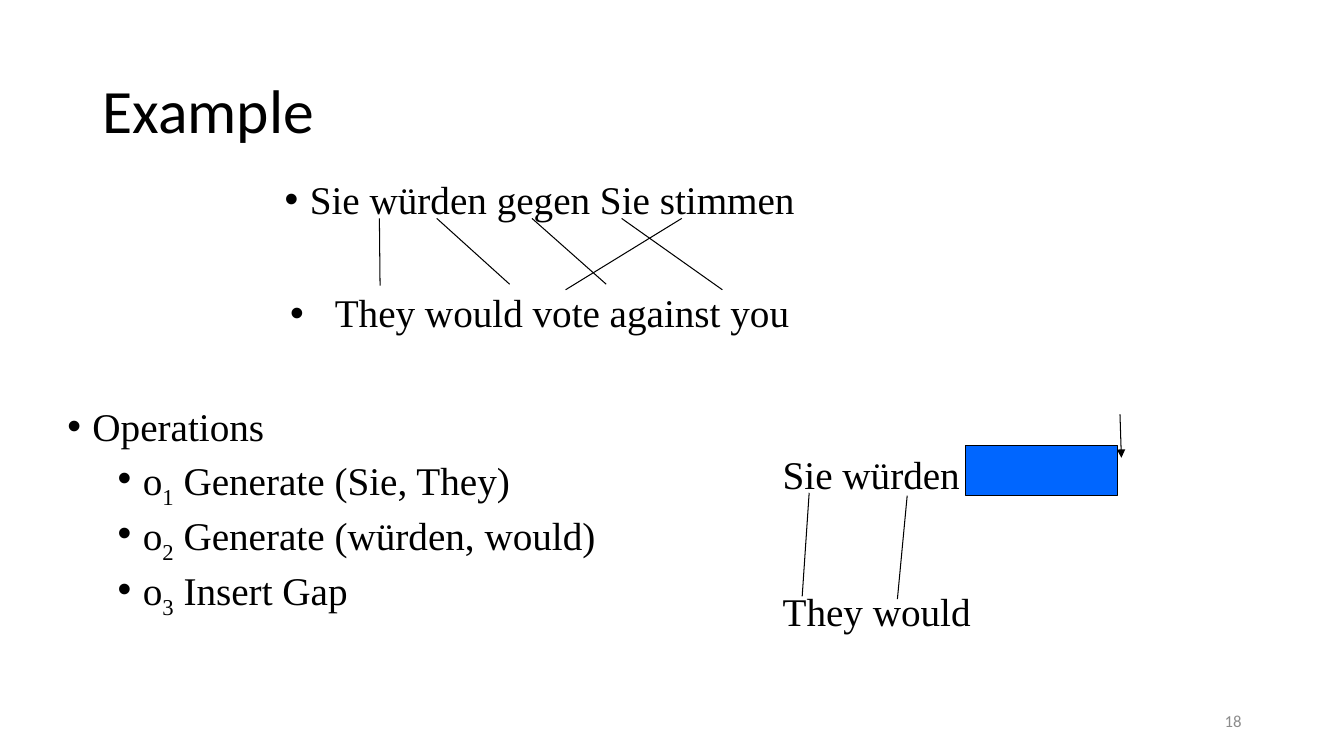
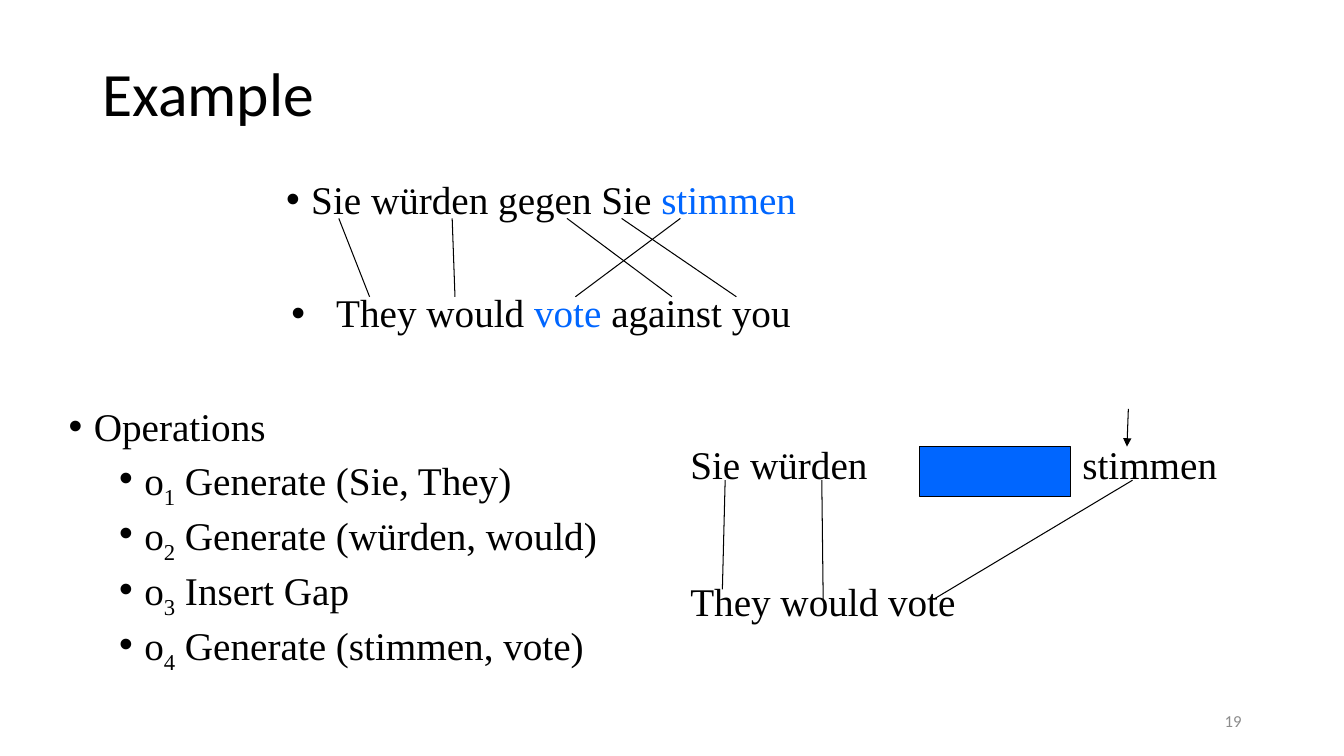
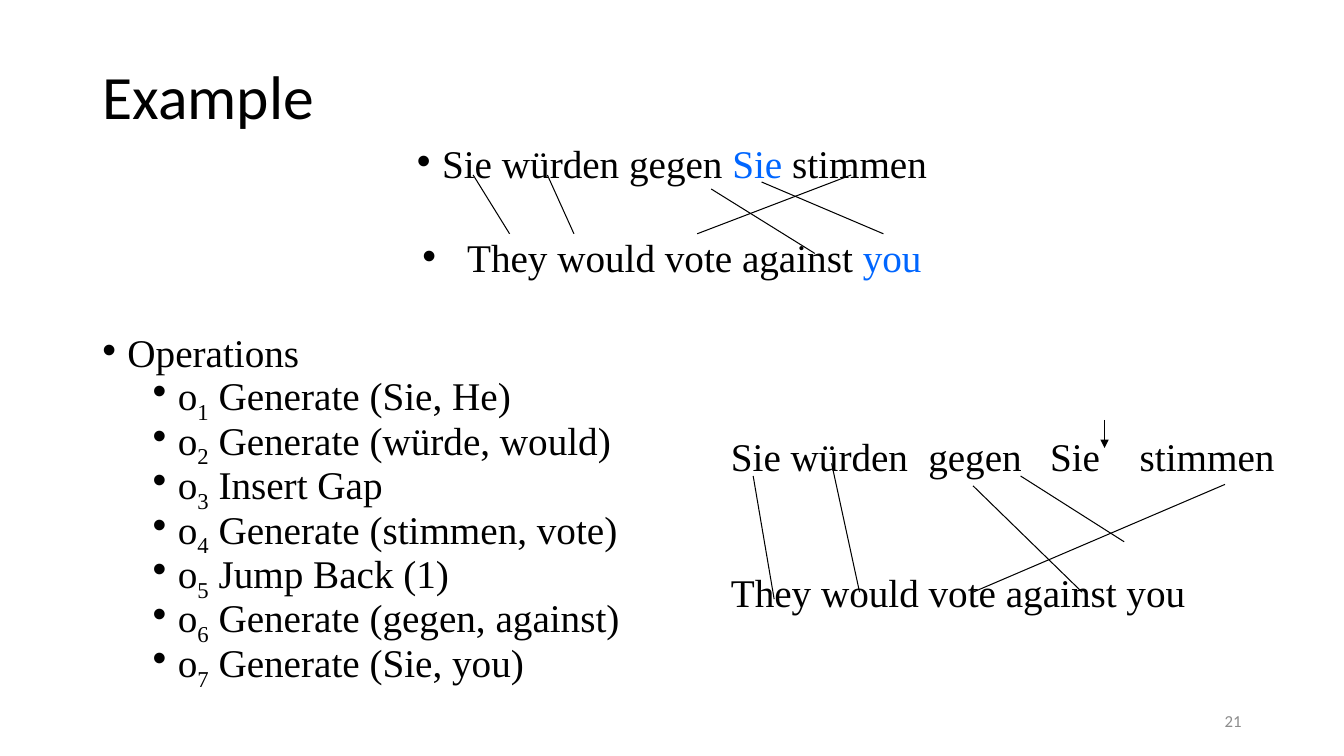
from lxml.etree import SubElement
from pptx import Presentation
from pptx.dml.color import RGBColor
from pptx.enum.shapes import MSO_CONNECTOR, MSO_SHAPE
from pptx.enum.text import MSO_ANCHOR, MSO_AUTO_SIZE, PP_ALIGN
from pptx.oxml.ns import qn
from pptx.util import Pt

BLACK = RGBColor(0x00, 0x00, 0x00)
BLUE = RGBColor(0x00, 0x66, 0xFF)
GRAY = RGBColor(0x8C, 0x8C, 0x8C)
SANS = "Calibri"
SERIF = "Times New Roman"
SIZE = 28
GERMAN = "Sie würden gegen Sie stimmen"
ENGLISH = "They would vote against you"


class Deck:
    """Hold the shared style and the current slide."""

    def __init__(self):
        self.prs = Presentation()
        self.prs.slide_width, self.prs.slide_height = Pt(960), Pt(540)
        self.slide = None

    def style(self, run, size=SIZE, name=SERIF, color=BLACK):
        run.font.size = Pt(size)
        run.font.name = name
        run.font.color.rgb = color

    def start(self, number, height):
        self.slide = self.prs.slides.add_slide(self.prs.slide_layouts[5])
        title = self.slide.shapes.title
        title.left, title.top, title.width, title.height = Pt(66), Pt(29), Pt(828), Pt(height)
        frame = title.text_frame
        frame.text = "Example"
        frame.auto_size = MSO_AUTO_SIZE.NONE
        frame.vertical_anchor = MSO_ANCHOR.MIDDLE
        para = frame.paragraphs[0]
        para.alignment = PP_ALIGN.LEFT
        para.line_spacing = 0.9
        self.style(para.runs[0], 44, SANS)
        frame = self.frame(678, 500.5, 216, 29)
        frame.text = str(number)
        frame.vertical_anchor = MSO_ANCHOR.MIDDLE
        para = frame.paragraphs[0]
        para.alignment = PP_ALIGN.RIGHT
        self.style(para.runs[0], 12, SANS, GRAY)

    def frame(self, left, top, width, height):
        box = self.slide.shapes.add_textbox(Pt(left), Pt(top), Pt(width), Pt(height))
        box.text_frame.word_wrap = True
        return box.text_frame

    def bullet(self, para, margin, hang, before, spacing):
        para.line_spacing = spacing
        para.space_before = Pt(before)
        props = para._p.get_or_add_pPr()
        props.set("marL", str(Pt(margin)))
        props.set("indent", str(-Pt(hang)))
        SubElement(props, qn("a:buFont"), typeface="Arial")
        SubElement(props, qn("a:buChar"), char="•")

    def runs(self, para, parts):
        for text, color in parts:
            if text:
                run = para.add_run()
                run.text = text
                self.style(run, color=color)

    def body(self, place, spacing, pair, steps):
        frame = self.frame(*place)
        gap = 20 + 34.2 * spacing
        rows = ((GERMAN, pair[0], 18, 0), (ENGLISH, pair[1], 32, gap))
        for index, (text, word, hang, before) in enumerate(rows):
            para = frame.add_paragraph() if index else frame.paragraphs[0]
            para.alignment = PP_ALIGN.CENTER
            self.bullet(para, hang, hang, before, spacing)
            head, mid, tail = text.rpartition(word) if word else (text, "", "")
            self.runs(para, ((head, BLACK), (mid, BLUE), (tail, BLACK)))
        para = frame.add_paragraph()
        self.bullet(para, 18, 18, gap, spacing)
        self.runs(para, [("Operations", BLACK)])
        for number, step in enumerate(steps, 1):
            para = frame.add_paragraph()
            para.level = 1
            self.bullet(para, 54, 18, 5, spacing)
            self.runs(para, (("o", BLACK), (str(number), BLACK), (" " + step, BLACK)))
            para.runs[1].font._element.set("baseline", "-25000")

    def panel(self, left, top, width, source, target, tabs=()):
        frame = self.frame(left, top, width, 142.5)
        frame.text = source
        first = frame.paragraphs[0]
        if tabs:
            stops = SubElement(first._p.get_or_add_pPr(), qn("a:tabLst"))
            for tab in tabs:
                SubElement(stops, qn("a:tab"), pos=str(Pt(tab)), algn="l")
        last = frame.add_paragraph()
        last.text = target
        last.space_before = Pt(64)
        for para in frame.paragraphs:
            for run in para.runs:
                self.style(run)

    def line(self, x1, y1, x2, y2, arrow=False):
        link = self.slide.shapes.add_connector(
            MSO_CONNECTOR.STRAIGHT, Pt(x1), Pt(y1), Pt(x2), Pt(y2))
        link.line.color.rgb = BLACK
        link.line.width = Pt(0.75)
        if arrow:
            SubElement(link.line._get_or_add_ln(), qn("a:tailEnd"), type="triangle")
        SubElement(link._element.spPr, qn("a:effectLst"))

    def lines(self, *ends):
        for end in ends:
            self.line(*end)

    def gap(self, left, top):
        box = self.slide.shapes.add_shape(
            MSO_SHAPE.RECTANGLE, Pt(left), Pt(top), Pt(108), Pt(36))
        box.shadow.inherit = False
        box.fill.solid()
        box.fill.fore_color.rgb = BLUE
        box.line.color.rgb = BLACK
        box.line.width = Pt(0.75)


def main():
    """Build the three example slides."""
    deck = Deck()
    steps = ["Generate (Sie, They)", "Generate (würden, would)", "Insert Gap"]
    vote = "Generate (stimmen, vote)"

    deck.start(18, 104.5)
    deck.body((41, 125.5, 689, 359), 0.9, ("", ""), steps)
    deck.panel(552, 318, 282, "Sie würden", "They would")
    deck.lines((444, 156, 516, 207), (271, 156, 271.5, 204), (312, 156, 364, 203),
               (578, 352, 573, 426), (487, 156, 404, 207), (380, 156, 433, 203),
               (648, 354, 641, 428))
    deck.gap(690, 318)
    deck.line(800, 296, 801, 327, True)

    deck.start(19, 80.5)
    deck.body((42, 125.5, 689, 359), 0.9, ("stimmen", "vote"), steps + [vote])
    for top, foot in ((242, 264), (486, 411), (323, 325), (405, 480), (444, 526)):
        deck.line(top, 156, foot, 212)
    deck.panel(486, 311, 392, "Sie würden\tstimmen", "They would vote", (280,))
    deck.lines((587, 343, 588, 428), (518, 343, 516, 421), (809, 343, 667, 428))
    deck.gap(657, 319)
    deck.line(806, 292, 805, 319, True)

    deck.start(21, 83.5)
    deck.body((66, 105, 828, 381.5), 0.7, ("Sie", "you"),
              ["Generate (Sie, He)", "Generate (würde, would)", "Insert Gap", vote,
               "Jump Back (1)", "Generate (gegen, against)", "Generate (Sie, you)"])
    deck.panel(515, 305, 406, "Sie würden\tgegen\tSie\tstimmen", ENGLISH, (141, 228, 292))
    deck.lines((338, 125, 364, 167), (391, 125, 410, 167), (729, 340, 803, 387),
               (608, 125, 498, 167), (544, 130, 631, 167), (538, 340, 553, 428),
               (508, 135, 582, 181), (594, 331, 614, 423), (875, 346, 695, 423),
               (695, 347, 773, 423))
    deck.line(789, 300, 789, 320, True)
    deck.prs.save("out.pptx")


if __name__ == "__main__":
    main()
